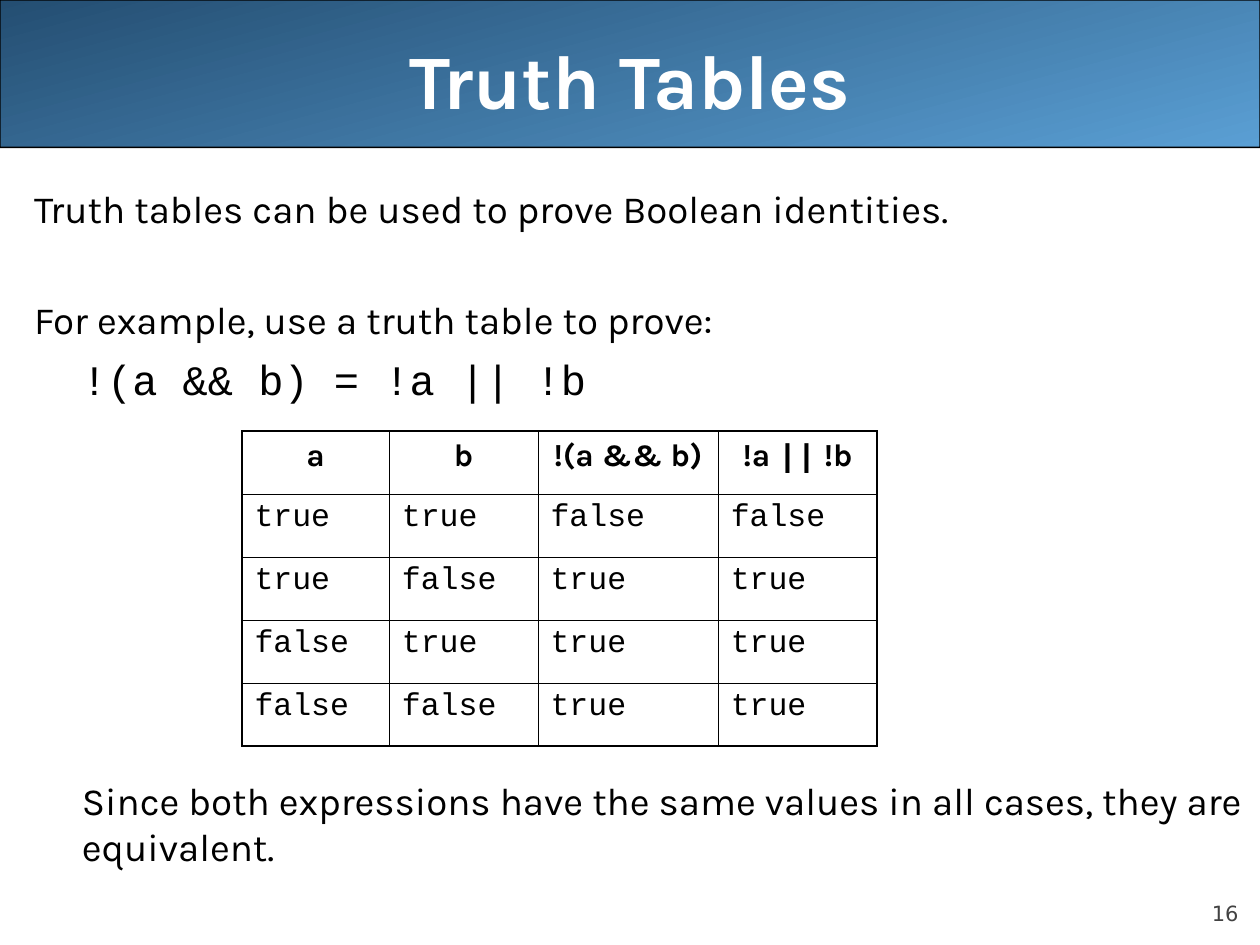
from dataclasses import dataclass
from lxml.etree import SubElement as Sub
from pptx import Presentation
from pptx.dml.color import RGBColor as Rgb
from pptx.enum.shapes import MSO_SHAPE as Shape
from pptx.enum.text import MSO_ANCHOR as Anchor, MSO_AUTO_SIZE as Fit, PP_ALIGN as Align
from pptx.oxml.ns import qn
from pptx.util import Inches, Pt


@dataclass(frozen=True)
class Theme:
    dark: str = "244E72"
    light: str = "5A9FD4"
    ink: str = "000000"
    white: str = "FFFFFF"
    gray: str = "424242"
    sans: str = "Karla"
    mono: str = "Courier New"
    plain: str = "DejaVu Sans"
    head: float = 44
    body: float = 22
    code: float = 24
    cell: float = 18
    foot: float = 12
    edge: float = 1.08
    rule: float = 0.45


class Deck:
    """Draws styled elements on the current slide."""

    def __init__(self, theme):
        self.theme = theme
        self.file = Presentation()
        self.file.slide_width, self.file.slide_height = Inches(10), Inches(7.5)
        self.slide = self.file.slides.add_slide(self.file.slide_layouts[1])

    def place(self, shape, box):
        for name, size in zip(("left", "top", "width", "height"), box):
            setattr(shape, name, Inches(size))

    def label(self, para, text, size, font, color=None, bold=False, **form):
        for name, value in form.items():
            setattr(para, name, value)
        parts = [(text, font)] if isinstance(text, str) else text
        for words, face in parts:
            run = para.add_run()
            run.text = words
            look = {"name": face, "size": Pt(size), "bold": bold}
            for name, value in look.items():
                setattr(run.font, name, value)
            run.font.color.rgb = Rgb.from_string(color or self.theme.ink)

    def banner(self, box):
        shape = self.slide.shapes.add_shape(Shape.ROUNDED_RECTANGLE, *map(Inches, box))
        shape.adjustments[0] = 0.001
        shape.shadow.inherit = False
        shape.fill.gradient()
        shape.fill.gradient_angle = 285
        for stop, color in zip(shape.fill.gradient_stops, (self.theme.dark, self.theme.light)):
            stop.color.rgb = Rgb.from_string(color)
        shape.line.color.rgb = Rgb.from_string(self.theme.ink)
        shape.line.width = Pt(0.74)
        self.slide.shapes.title._element.addprevious(shape._element)

    def title(self, text, box):
        shape, theme = self.slide.shapes.title, self.theme
        self.place(shape, box)
        frame = shape.text_frame
        frame.auto_size, frame.vertical_anchor = Fit.NONE, Anchor.MIDDLE
        self.label(frame.paragraphs[0], text, theme.head, theme.sans, theme.white, True,
                   alignment=Align.CENTER)

    def body(self, lines, box):
        shape = self.slide.placeholders[1]
        self.place(shape, box)
        frame = shape.text_frame
        frame.auto_size = Fit.NONE
        for i, (text, level, gap, size, font) in enumerate(lines):
            para = frame.add_paragraph() if i else frame.paragraphs[0]
            self.label(para, text, size, font, level=level, space_before=Pt(gap))
            props = para._p.get_or_add_pPr()
            props.set("marL", str(Inches(0.38 * level)))
            props.set("indent", "0")
            Sub(props, qn("a:buNone"))

    def border(self, cell, sides):
        props = cell._tc.get_or_add_tcPr()
        for i, (side, width) in enumerate(sides.items()):
            line = Sub(props, qn("a:ln" + side), w=str(Pt(width)))
            fill = Sub(line, qn("a:solidFill"))
            Sub(fill, qn("a:srgbClr"), val=self.theme.ink)
            props.insert(i, line)

    def table(self, rows, widths, height, left, top):
        theme = self.theme
        last, end = len(rows) - 1, len(widths) - 1
        grid = self.slide.shapes.add_table(
            len(rows), len(widths), Inches(left), Inches(top),
            Inches(sum(widths)), Inches(height * len(rows))).table
        grid.first_row = grid.horz_banding = False
        for col, width in zip(grid.columns, widths):
            col.width = Inches(width)
        for r, row in enumerate(rows):
            grid.rows[r].height = Inches(height)
            for c, text in enumerate(row):
                cell, top_row = grid.cell(r, c), r == 0
                cell.fill.background()
                self.label(cell.text_frame.paragraphs[0], text, theme.cell,
                           theme.sans if top_row else theme.mono, bold=top_row,
                           alignment=Align.CENTER if top_row else Align.LEFT,
                           space_before=Pt(4.5))
                outer = {"L": c == 0, "R": c == end, "T": top_row, "B": r == last}
                self.border(cell, {side: theme.edge if out else theme.rule
                                   for side, out in outer.items()})

    def number(self, text, box):
        frame = self.slide.shapes.add_textbox(*map(Inches, box)).text_frame
        form = {"word_wrap": True, "vertical_anchor": Anchor.BOTTOM, "margin_left": 0,
                "margin_right": 0, "margin_top": 0, "margin_bottom": 0}
        for name, value in form.items():
            setattr(frame, name, value)
        self.label(frame.paragraphs[0], text, self.theme.foot, self.theme.plain,
                   self.theme.gray, alignment=Align.RIGHT, space_before=Pt(5))


look = Theme()
deck = Deck(look)
deck.banner((0, 0, 10, 1.17))
deck.title("Truth Tables", (0.5, 0, 9, 1.25))
deck.body([
    ("Truth tables can be used to prove Boolean identities.", 0, 5.5, look.body, look.sans),
    ("For example, use a truth table to prove:", 0, 37.2, look.body, look.sans),
    ("!(a && b) = !a || !b", 1, 6, look.code, look.mono),
    ("Since both expressions have the same values in all cases, they are equivalent.",
     1, 213.5, look.body, look.sans),
], (0.17, 1.42, 9.83, 5.67))

pairs = [(a, b) for a in (True, False) for b in (True, False)]
facts = [[str(v).lower() for v in (a, b, not (a and b), not a or not b)] for a, b in pairs]
heads = ["a", "b", "!(a && b)", [("!a ", look.sans), ("||", look.mono), (" !b", look.sans)]]
deck.table([heads, *facts], (1.17, 1.18, 1.43, 1.26), 0.5, 1.92, 3.42)
deck.number("16", (9, 6.95, 0.83, 0.4))
deck.file.save("out.pptx")
